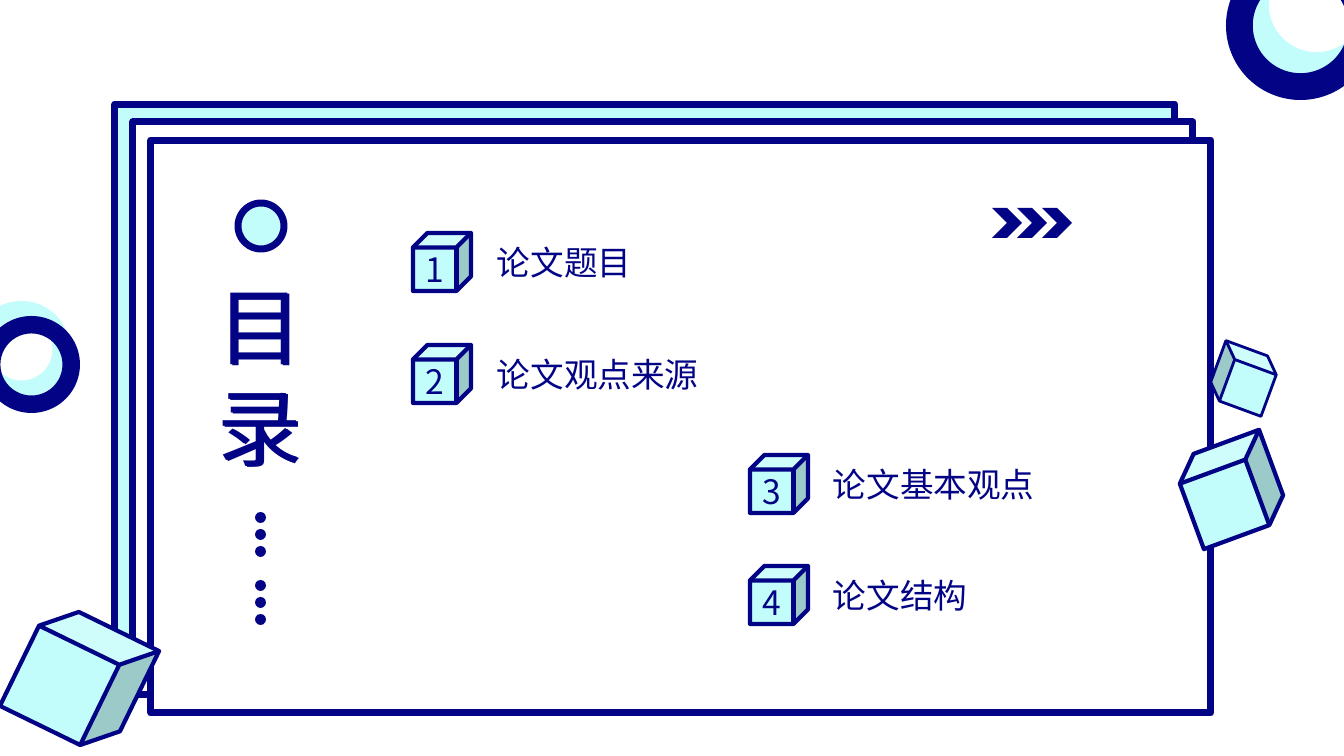
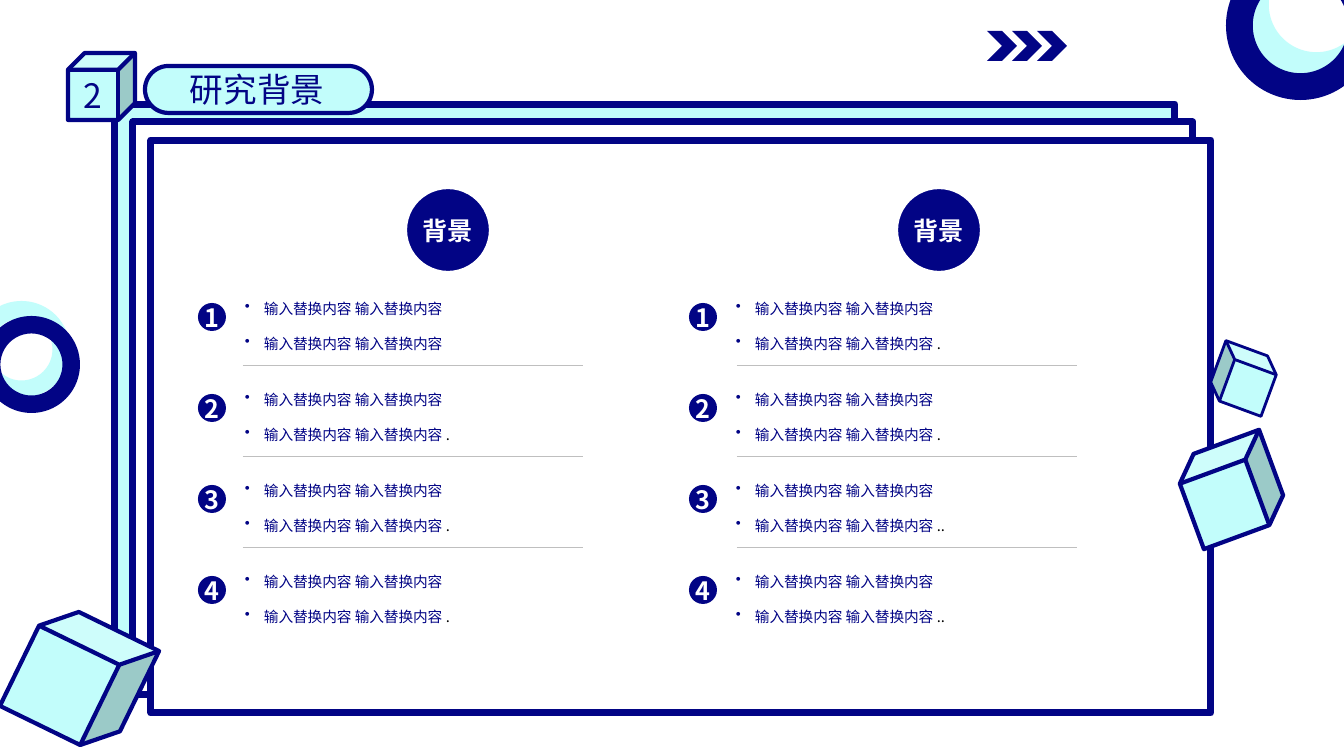
from lxml import etree
from pptx import Presentation
from pptx.dml.color import RGBColor
from pptx.enum.shapes import MSO_CONNECTOR, MSO_SHAPE
from pptx.enum.text import MSO_ANCHOR, MSO_AUTO_SIZE, PP_ALIGN
from pptx.oxml.ns import qn
from pptx.util import Pt

RECT, OVAL, PILL = MSO_SHAPE.RECTANGLE, MSO_SHAPE.OVAL, MSO_SHAPE.ROUNDED_RECTANGLE
CUBE, DONUT, CHEVRON = MSO_SHAPE.CUBE, MSO_SHAPE.DONUT, MSO_SHAPE.CHEVRON
STRAIGHT = MSO_CONNECTOR.STRAIGHT
MIDDLE, CENTER, LEFT = MSO_ANCHOR.MIDDLE, PP_ALIGN.CENTER, PP_ALIGN.LEFT
GROW = MSO_AUTO_SIZE.SHAPE_TO_FIT_TEXT

NAVY = RGBColor(0x02, 0x04, 0x85)
AQUA = RGBColor(0xC2, 0xFD, 0xFB)
WHITE = RGBColor(0xFF, 0xFF, 0xFF)
BLACK = RGBColor(0x00, 0x00, 0x00)
GREY = RGBColor(0xBF, 0xBF, 0xBF)
FONT = "Noto Sans CJK SC"
PX = 914400 / 100.8  # EMU in one px


def add_shape(s, kind, x, y, w, h, fill, line_pt=0, line=NAVY):
    sp = s.shapes.add_shape(kind, *(round(v * PX) for v in (x, y, w, h)))
    sp.shadow.inherit = False
    sp.fill.solid()
    sp.fill.fore_color.rgb = fill
    if line_pt:
        sp.line.color.rgb = line
        sp.line.width = Pt(line_pt)
    else:
        sp.line.fill.background()
    return sp


def add_run(p, text, size, color=NAVY, bold=False):
    r = p.add_run()
    r.text = text
    r.font.size = Pt(size)
    r.font.bold = bold
    r.font.color.rgb = color
    r.font.name = FONT
    rpr = r._r.get_or_add_rPr()
    etree.SubElement(rpr, qn("a:ea")).set("typeface", FONT)
    return rpr


prs = Presentation()
prs.slide_width, prs.slide_height = round(1344 * PX), round(756 * PX)
contents, background = (prs.slides.add_slide(prs.slide_layouts[6]) for _ in range(2))

# Shared frame, cubes, rings and arrows
for s, arrow_x, arrow_y in ((contents, 992, 208), (background, 987, 31)):
    for i, fill in enumerate((AQUA, WHITE, WHITE)):
        add_shape(s, RECT, 115 + 18 * i, 104 + 18 * i, 1060, 573, fill, 5)
    for x, y, size, angle, line_pt, flip in (
        (1185, 443, 93, 339.8, 3, False),
        (1214, 349, 59, 20.2, 2, True),
        (20, 619, 119, 26, 3, False),
    ):
        sp = add_shape(s, CUBE, x, y, size, size, AQUA, line_pt)
        sp.rotation = angle
        if flip:
            sp._element.spPr.find(qn("a:xfrm")).set("flipH", "1")
    for x, y, size, fill in (
        (1242, -70, 149, AQUA), (1226, -49, 149, NAVY),
        (-27, 301, 97, AQUA), (-17, 316, 97, NAVY),
    ):
        sp = add_shape(s, DONUT, x, y, size, size, fill)
        sp.adjustments[0] = 0.18
    for i in range(3):
        add_shape(s, CHEVRON, arrow_x + 25 * i, arrow_y, 30, 30, NAVY)

# Contents: dots beside the title
s = contents
add_shape(s, OVAL, 238, 203, 46, 46, AQUA, 5)
for top in (512, 580):
    for i in range(3):
        add_shape(s, OVAL, 255, top + 17 * i, 11, 11, NAVY)

# Contents: title with an offset layer behind it
for x, y, outline in ((210, 271, NAVY), (208, 270, AQUA)):
    tf = s.shapes.add_textbox(*(round(v * PX) for v in (x, y, 105, 214))).text_frame
    tf.word_wrap = False
    tf.auto_size = GROW
    for i, char in enumerate("目录"):
        p = tf.add_paragraph() if i else tf.paragraphs[0]
        ln = etree.Element(qn("a:ln"), w=str(Pt(0.75)))
        solid = etree.SubElement(ln, qn("a:solidFill"))
        etree.SubElement(solid, qn("a:srgbClr"), val=str(outline))
        add_run(p, char, 60).insert(0, ln)

# Numbered cubes and headings of both slides
add_shape(background, PILL, 145, 66, 227, 47, AQUA, 3).adjustments[0] = 0.5
for s, number, label, x, y, size, label_x, label_y, label_w in (
    (contents, "1", "论文题目", 413, 233, 58, 487, 237, 156),
    (contents, "2", "论文观点来源", 413, 345, 58, 487, 349, 224),
    (contents, "3", "论文基本观点", 750, 455, 58, 823, 459, 224),
    (contents, "4", "论文结构", 750, 566, 58, 823, 570, 156),
    (background, "2", "研究背景", 68, 53, 67, 180, 64, 161),
):
    tf = add_shape(s, CUBE, x, y, size, size, AQUA, 3).text_frame
    tf.vertical_anchor = MIDDLE
    tf.paragraphs[0].alignment = CENTER
    add_run(tf.paragraphs[0], number, 24)
    box = (label_x, label_y, label_w, 50)
    tf = s.shapes.add_textbox(*(round(v * PX) for v in box)).text_frame
    tf.word_wrap = False
    tf.auto_size = GROW
    add_run(tf.paragraphs[0], label, 24)

# Background: two columns of four numbered points
s = background
ROW_STEP = 91
LINE_TEXT = "输入替换内容 输入替换内容"
for left, rule_x, endings in (
    (198, 243, ("", ".", ".", ".")),
    (689, 737, (".", ".", "..", "..")),
):
    badges = [("背景", left + 207, 187, 86, 3)]
    badges += [(str(i + 1), left, 303 + ROW_STEP * i, 28, 0) for i in range(4)]
    for text, x, y, size, line_pt in badges:
        tf = add_shape(s, OVAL, x, y, size, size, NAVY, line_pt, WHITE).text_frame
        tf.word_wrap = False
        tf.vertical_anchor = MIDDLE
        tf.paragraphs[0].alignment = CENTER
        add_run(tf.paragraphs[0], text, 18, WHITE, True)

    for row, ending in enumerate(endings):
        box = (left + 37, 274 + ROW_STEP * row, 425, 86)
        tf = s.shapes.add_textbox(*(round(v * PX) for v in box)).text_frame
        tf.word_wrap = True
        tf.vertical_anchor = MIDDLE
        for i, tail in enumerate(("", ending)):
            p = tf.add_paragraph() if i else tf.paragraphs[0]
            p.alignment = LEFT
            p.line_spacing = 2.0
            ppr = p._p.get_or_add_pPr()
            ppr.set("marL", str(round(19 * PX)))
            ppr.set("indent", str(round(-19 * PX)))
            etree.SubElement(ppr, qn("a:buChar")).set("char", "•")
            add_run(p, LINE_TEXT + (" " if tail else ""), 10.5)
            if tail:
                add_run(p, tail, 10.5, BLACK)

    # Rules between the rows
    for row in range(3):
        y = 365 + ROW_STEP * row
        ends = (rule_x, y, rule_x + 340, y)
        rule = s.shapes.add_connector(STRAIGHT, *(round(v * PX) for v in ends))
        rule.line.color.rgb = GREY
        rule.line.width = Pt(0.25)
        etree.SubElement(rule._element.spPr, qn("a:effectLst"))

prs.save("out.pptx")
